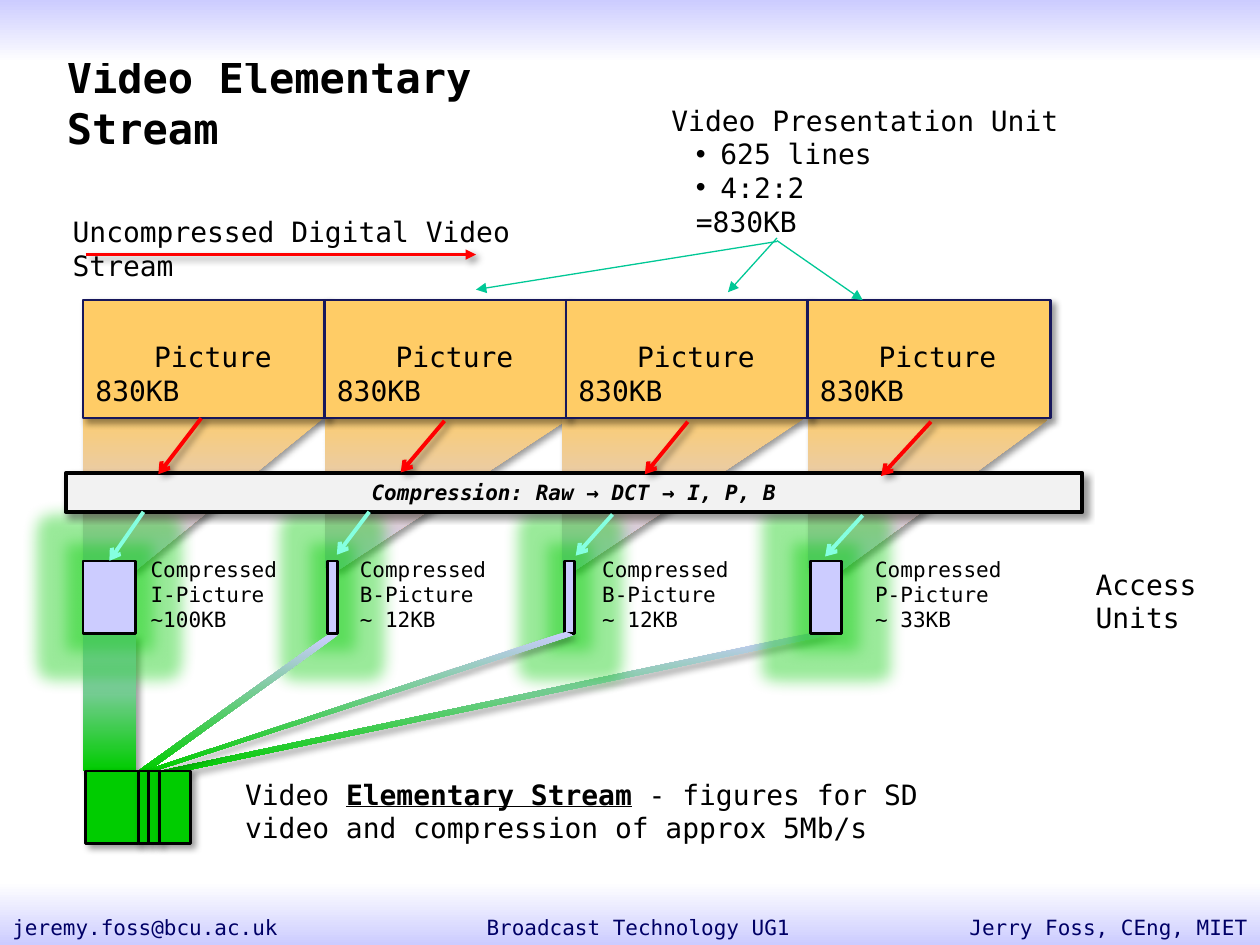
from lxml import etree
from pptx import Presentation
from pptx.dml.color import RGBColor
from pptx.enum import shapes, text
from pptx.oxml import ns
from pptx.util import Pt

FONT = "DejaVu Sans Mono"
BLACK = RGBColor(0, 0, 0)
WHITE = RGBColor(0xFF, 0xFF, 0xFF)
NAVY = RGBColor(0x00, 0x00, 0x66)
EDGE = RGBColor(0x17, 0x17, 0x5C)
LAVENDER = RGBColor(0xCC, 0xCC, 0xFF)
AMBER = RGBColor(0xFF, 0xCC, 0x66)
GREEN = RGBColor(0x00, 0xCC, 0x00)
GREY = RGBColor(0xF2, 0xF2, 0xF2)
RED = RGBColor(0xFF, 0, 0)
AQUA = RGBColor(0x85, 0xFF, 0xE0)
TEAL = RGBColor(0x00, 0xC8, 0x96)
LEFT, CENTER, RIGHT = text.PP_ALIGN.LEFT, text.PP_ALIGN.CENTER, text.PP_ALIGN.RIGHT

# Content
TITLE = "Video Elementary Stream"
PRESENTATION_UNIT = ["Video Presentation Unit", "625 lines", "4:2:2", "=830KB"]
FOOTERS = [  # wording, left, width, alignment
    ("Broadcast Technology UG1", 192, 345.5, CENTER),
    ("jeremy.foss@bcu.ac.uk", 0, 228, LEFT),
    ("Jerry Foss, CEng, MIET", 492, 228, RIGHT),
]
UNITS = [  # type, size, left, width, label left
    ("I", "~100KB", 47.5, 30, 79),
    ("B", "~ 12KB", 187, 6, 198.5),
    ("B", "~ 12KB", 322.5, 6, 337),
    ("P", "~ 33KB", 463, 18, 493),
]
FUNNELS = [(47.5, 187), (186, 327), (321, 459.5), (461.5, 598.5)]  # top left, top right
RIBBONS = {  # bottom left, top left, top right, bottom right
    "P": [(91.5, 440.5), (464.5, 361.5), (480, 361.5), (103, 441)],
    "I": [(47.5, 440.5), (47.5, 363), (77.5, 363), (77.5, 440.5)],
    "B1": [(79, 440.5), (187, 363), (193, 363), (85, 440.5)],
    "B2": [(82, 440.5), (323.5, 361), (327.5, 363), (88.5, 440.5)],
}
INPUT_ARROWS = [(115, 239, 90.5, 271), (254, 240.5, 229, 270),
                (393, 241, 368.5, 271), (532, 241, 503.5, 272)]
OUTPUT_ARROWS = [(82, 292.5, 62.5, 320.5), (211, 292.5, 192.5, 317),
                 (350, 294, 329, 317.5), (493, 294.5, 471.5, 318)]
UNIT_POINTERS = [(444, 137.5, 493, 171.5), (444, 136, 416, 167), (444, 138, 272, 165.5)]
PICTURE_LEFT, PICTURE_STEP = 47.5, 138
UNIT_TOP, UNIT_HEIGHT, STREAM_TOP = 320.5, 41.5, 440.5

deck = Presentation()
deck.slide_width, deck.slide_height = Pt(720), Pt(540)
page = deck.slides.add_slide(deck.slide_layouts[1])


def add_effect(shape, kind=None, color="000000", alpha=40, **sizes):
    """Give the shape one effect, or an empty effect list."""
    props = shape._element.spPr
    for old in props.findall(ns.qn("a:effectLst")):
        props.remove(old)
    effects = etree.SubElement(props, ns.qn("a:effectLst"))
    if kind:
        effect = etree.SubElement(effects, ns.qn("a:" + kind),
                                  {key: str(value) for key, value in sizes.items()})
        tint = etree.SubElement(effect, ns.qn("a:srgbClr"), val=color)
        etree.SubElement(tint, ns.qn("a:alpha"), val=str(alpha * 1000))


def add_shadow(shape):
    add_effect(shape, "outerShdw", blurRad=Pt(4), dist=Pt(3), dir=45 * 60000)


def blend(shape, top, bottom):
    shape.fill.gradient()
    shape.fill.gradient_angle = 270
    for stop, color in zip(shape.fill.gradient_stops, (top, bottom)):
        stop.color.rgb = color
    shape.line.fill.background()


def add_block(left, top, width, height, fill, line=BLACK, weight=1.5):
    box = page.shapes.add_shape(shapes.MSO_SHAPE.RECTANGLE,
                                Pt(left), Pt(top), Pt(width), Pt(height))
    box.fill.solid()
    box.fill.fore_color.rgb = fill
    box.line.color.rgb = line
    box.line.width = Pt(weight)
    add_shadow(box)
    return box


def add_polygon(points, top, bottom, shadow=True):
    corners = [(Pt(x), Pt(y)) for x, y in points]
    builder = page.shapes.build_freeform(*corners[0], scale=1.0)
    builder.add_line_segments(corners[1:], close=True)
    shape = builder.convert_to_shape()
    blend(shape, top, bottom)
    (add_shadow if shadow else add_effect)(shape)


def write(box, lines, size, align=LEFT, color=BLACK, bold=False, italic=False):
    frame = box.text_frame
    frame.text = "\n".join(lines)
    frame.word_wrap = True
    frame.auto_size = text.MSO_AUTO_SIZE.NONE
    for para in frame.paragraphs:
        para.alignment = align
        para.space_before = Pt(0)
        for span in para.runs:
            font = span.font
            font.name, font.size, font.bold, font.italic = FONT, Pt(size), bold, italic
            font.color.rgb = color
    return frame


def add_label(lines, left, top, width, height, size, **style):
    box = page.shapes.add_textbox(Pt(left), Pt(top), Pt(width), Pt(height))
    return write(box, lines, size, **style)


def place(box, left, top, width, height):
    box.left, box.top, box.width, box.height = Pt(left), Pt(top), Pt(width), Pt(height)
    box.text_frame.vertical_anchor = text.MSO_ANCHOR.TOP


def add_arrow(ends, color, weight, head, shadow=False):
    line = page.shapes.add_connector(shapes.MSO_CONNECTOR.STRAIGHT, *map(Pt, ends))
    line.line.color.rgb = color
    line.line.width = Pt(weight)
    etree.SubElement(line.line._get_or_add_ln(), ns.qn("a:tailEnd"), type=head)
    (add_shadow if shadow else add_effect)(line)


# Page bands and footers
for top, colors in ((0, (LAVENDER, WHITE)), (504, (WHITE, LAVENDER))):
    band = page.shapes.add_shape(shapes.MSO_SHAPE.RECTANGLE, 0, Pt(top), Pt(720), Pt(36))
    blend(band, *colors)
    add_effect(band)
for wording, left, width, align in FOOTERS:
    add_label([wording], left, 519, width, 21, 12, align=align, color=NAVY)

# Ribbons and funnels behind the units
for name in "PI":
    add_polygon(RIBBONS[name], LAVENDER, GREEN)
for index, ((left, right), unit) in enumerate(zip(FUNNELS, UNITS)):
    add_polygon([(left, 231), (right, 237 + index), (unit[2] + unit[3], 326), (left, 324)],
                AMBER, LAVENDER)

# Title and presentation unit list
title = page.shapes.title
place(title, 31, 26, 308, 36)
write(title, [TITLE], 24, bold=True)
body = page.placeholders[1]
place(body, 376.5, 55.5, 278, 104.5)
for index, para in enumerate(write(body, PRESENTATION_UNIT, 16).paragraphs):
    props = para._p.get_or_add_pPr()
    props.set("marL", str(Pt(28 if index else 0)))
    props.set("indent", str(Pt(-14 if index else 0)))
    if index in (1, 2):
        etree.SubElement(props, ns.qn("a:buFont"), typeface="Arial")
        etree.SubElement(props, ns.qn("a:buChar"), char="•")
    else:
        etree.SubElement(props, ns.qn("a:buNone"))

# Uncompressed pictures
for index in range(len(UNITS)):
    picture = add_block(PICTURE_LEFT + index * PICTURE_STEP, 171.5, 139, 67.5, AMBER, EDGE)
    frame = write(picture, ["Picture", "830KB"], 16)
    frame.vertical_anchor = text.MSO_ANCHOR.BOTTOM
    frame.margin_bottom = Pt(6.5)
    frame.paragraphs[0]._p.get_or_add_pPr().set("marL", str(Pt(33.5)))

# Compressed access units
for kind, size, left, width, label_left in UNITS:
    unit = add_block(left, UNIT_TOP, width, UNIT_HEIGHT, LAVENDER)
    add_effect(unit, "glow", "00CC00", rad=Pt(18))
for kind, size, left, width, label_left in UNITS:
    add_label(["Compressed", kind + "-Picture", size], label_left, 314.5, 120, 51, 12)
add_label(["Access Units"], 619, 320.5, 73, 46, 16)

# Elementary stream
add_polygon(RIBBONS["B1"], LAVENDER, GREEN, shadow=False)
add_polygon(RIBBONS["B2"], LAVENDER, GREEN)
stream_left = 49
for unit in UNITS:
    add_block(stream_left, STREAM_TOP, unit[3], UNIT_HEIGHT, GREEN)
    stream_left += unit[3]
para = add_label([""], 133, 440.5, 408, 46, 16).paragraphs[0]
for wording, strong in (("Video ", False), ("Elementary Stream", True),
                        (" - figures for SD video and compression of approx 5Mb/s", False)):
    span = para.add_run()
    span.text = wording
    span.font.name, span.font.size = FONT, Pt(16)
    span.font.bold = span.font.underline = strong
    span.font.color.rgb = BLACK
add_label(["Uncompressed Digital Video Stream"], 34.5, 119, 293, 27, 16)

# Compression stage
stage = add_block(37.5, 270.5, 581, 22, GREY, weight=2.25)
write(stage, ["Compression: Raw → DCT → I, P, B"], 12, CENTER, bold=True, italic=True)

# Arrows
for ends in INPUT_ARROWS:
    add_arrow(ends, RED, 2.25, "arrow", shadow=True)
for ends in OUTPUT_ARROWS:
    add_arrow(ends, AQUA, 2.25, "arrow")
for ends in UNIT_POINTERS:
    add_arrow(ends, TEAL, 0.75, "triangle")
add_arrow((49, 145.5, 272, 145.5), RED, 1.5, "triangle", shadow=True)

deck.save("out.pptx")
